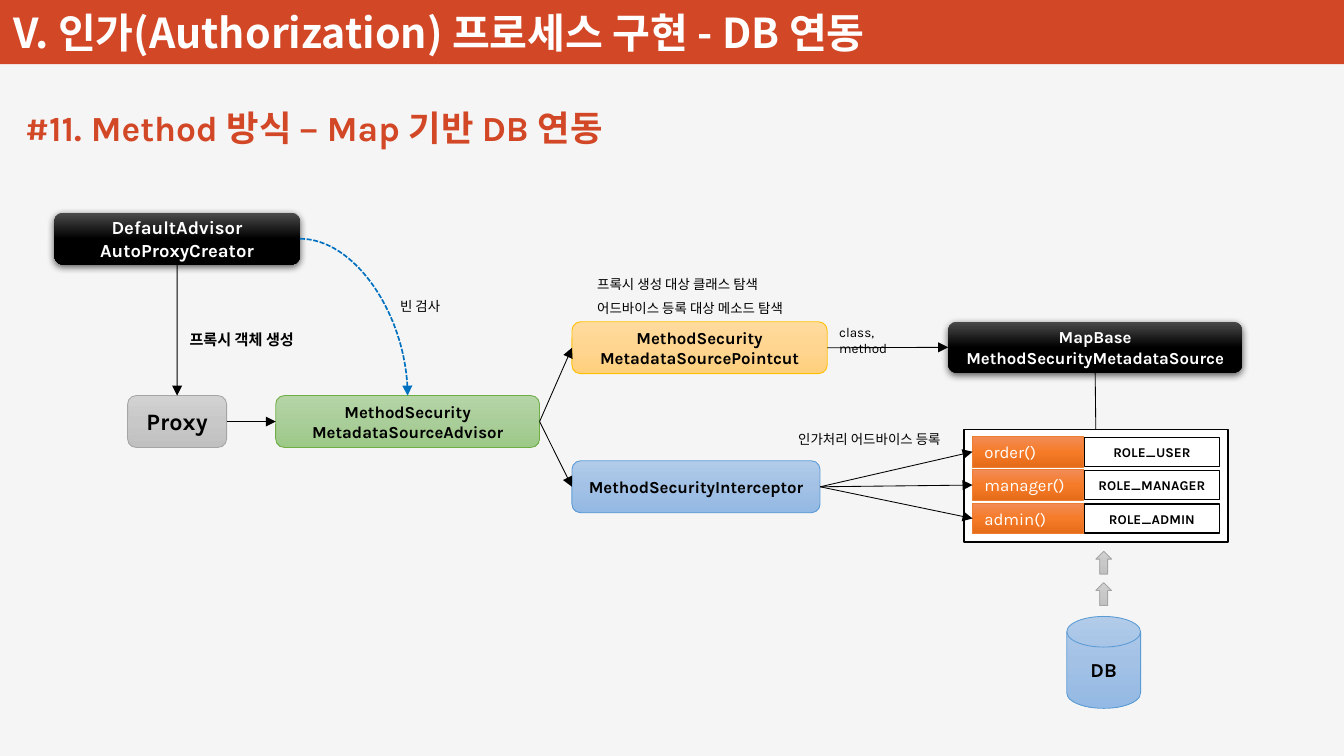
from copy import deepcopy
from dataclasses import dataclass

from lxml import etree
from pptx import Presentation
from pptx.dml.color import RGBColor
from pptx.enum.dml import MSO_LINE
from pptx.enum.shapes import MSO_CONNECTOR, MSO_SHAPE
from pptx.enum.text import MSO_ANCHOR, PP_ALIGN
from pptx.oxml.ns import qn
from pptx.util import Cm, Pt

RECT, ROUND = MSO_SHAPE.RECTANGLE, MSO_SHAPE.ROUNDED_RECTANGLE
DISK, UP_ARROW = MSO_SHAPE.FLOWCHART_MAGNETIC_DISK, MSO_SHAPE.UP_ARROW
STRAIGHT, CURVE = MSO_CONNECTOR.STRAIGHT, MSO_CONNECTOR.CURVE
LEFT, CENTER = PP_ALIGN.LEFT, PP_ALIGN.CENTER
TOP, MIDDLE, BOTTOM = MSO_ANCHOR.TOP, MSO_ANCHOR.MIDDLE, MSO_ANCHOR.BOTTOM
SIDE_TOP, SIDE_LEFT, SIDE_BOTTOM, SIDE_RIGHT = range(4)


@dataclass(frozen=True)
class Theme:
    latin: str = "Karla"
    korean: str = "Noto Sans CJK KR"
    page: str = "F5F5F5"
    accent: str = "D24726"
    white: str = "FFFFFF"
    black: str = "000000"
    scan: str = "0070C0"
    heading: float = 24.5
    subtitle: float = 21
    proxy: float = 14
    database: float = 11.8
    creator: float = 11
    body: float = 10
    note: float = 9
    small: float = 8


THEME = Theme()

# Gradient from top to bottom, then outline
SKINS = {
    "black": (("4B4B4B", "000000", "000000"), None),
    "gray": (("D2D2D2", "C8C8C8", "C0C0C0"), "A5A5A5"),
    "green": (("B5D5A7", "AACE9A", "9CC987"), "70AD47"),
    "yellow": (("FFDB9E", "FFD590", "FFD07C"), "FFC000"),
    "blue": (("B1CBE9", "A3C1E5", "93B9E4"), "5B9BD5"),
    "orange": (("F18C57", "F67B28", "E56C19"), "ED7D31"),
}

HEADING = "V. 인가(Authorization) 프로세스 구현 - DB 연동"
SUBTITLE = "#11. Method 방식 – Map 기반 DB 연동"

# name: (lines, skin, type size, (left, top, width, height) in cm)
COMPONENTS = {
    "creator": (["DefaultAdvisor", "AutoProxyCreator"], "black", THEME.creator,
                (1.14, 4.47, 5.16, 1.09)),
    "proxy": (["Proxy"], "gray", THEME.proxy, (2.68, 8.31, 2.08, 1.09)),
    "advisor": (["MethodSecurity", "MetadataSourceAdvisor"], "green", THEME.body,
                (5.79, 8.31, 5.54, 1.09)),
    "pointcut": (["MethodSecurity", "MetadataSourcePointcut"], "yellow", THEME.body,
                 (12.01, 6.76, 5.36, 1.09)),
    "interceptor": (["MethodSecurityInterceptor"], "blue", THEME.body,
                    (12.01, 9.68, 5.21, 1.09)),
    "source": (["MapBase", "MethodSecurityMetadataSource"], "black", THEME.body,
               (19.91, 6.76, 6.17, 1.07)),
}
ROLES = [("order()", "ROLE_USER"), ("manager()", "ROLE_MANAGER"), ("admin()", "ROLE_ADMIN")]

MAP_BOX = (20.24, 9.02, 5.54, 2.36)
ROW_TOP, ROW_STEP = 9.17, 0.7
DB_BOX = (22.4, 12.95, 1.55, 1.93)
ARROW_TOPS = (11.58, 12.24)

# (lines, place in cm, font, type size, bold, line spacing)
NOTES = [
    (["프록시 객체 생성"], (3.73, 6.81, 3.1, 0.64), THEME.korean, THEME.note, True, 1),
    (["프록시 생성 대상 클래스 탐색", "어드바이스 등록 대상 메소드 탐색"],
     (12.29, 5.51, 4.83, 1.27), THEME.korean, THEME.small, False, 1.5),
    (["인가처리 어드바이스 등록"], (16.51, 8.76, 3.96, 0.76), THEME.korean, THEME.small,
     False, 1.5),
    (["class, method"], (17.37, 6.68, 2.24, 0.61), THEME.latin, THEME.small, False, 1),
    (["빈 검사"], (8.15, 5.97, 1.47, 0.76), THEME.korean, THEME.small, False, 1.5),
]

# (from, side, to, side, arrowhead)
LINKS = [
    ("source", SIDE_BOTTOM, "map", SIDE_TOP, False),
    ("proxy", SIDE_RIGHT, "advisor", SIDE_LEFT, True),
    ("creator", SIDE_BOTTOM, "proxy", SIDE_TOP, True),
    ("pointcut", SIDE_RIGHT, "source", SIDE_LEFT, True),
    ("advisor", SIDE_RIGHT, "pointcut", SIDE_LEFT, True),
    ("advisor", SIDE_RIGHT, "interceptor", SIDE_LEFT, True),
] + [("interceptor", SIDE_RIGHT, method, SIDE_LEFT, True) for method, _ in ROLES]


def cm(place):
    return [Cm(length) for length in place]


def rgb(color):
    return RGBColor.from_string(color)


def write(shape, lines, size, color, font=THEME.latin, bold=True, align=CENTER,
          anchor=MIDDLE, spacing=1):
    frame = shape.text_frame
    frame.word_wrap = True
    frame.vertical_anchor = anchor
    frame.text = "\n".join(lines)
    for paragraph in frame.paragraphs:
        paragraph.alignment, paragraph.line_spacing = align, spacing
        style = paragraph.font
        style.name, style.size, style.bold = font, Pt(size), bold
        style.color.rgb = rgb(color)
        latin = paragraph._p.find(".//" + qn("a:latin"))
        latin.addnext(latin.makeelement(qn("a:ea"), typeface=THEME.korean))


def add_flat(slide, place, fill, outline=None, weight=0.5, kind=RECT):
    shape = slide.shapes.add_shape(kind, *cm(place))
    shape.shadow.inherit = False
    shape.fill.solid()
    shape.fill.fore_color.rgb = rgb(fill)
    if outline:
        shape.line.color.rgb = rgb(outline)
        shape.line.width = Pt(weight)
    else:
        shape.line.fill.background()
    return shape


def add_skinned(slide, place, skin, kind=ROUND):
    """Add a shape with the three-stop vertical gradient of a skin."""
    colors, outline = SKINS[skin]
    shape = add_flat(slide, place, colors[0], outline, kind=kind)
    shape.fill.gradient()
    shape.fill.gradient_angle = 270
    stops = shape._element.spPr.find(".//" + qn("a:gsLst"))
    stops.append(deepcopy(stops[0]))
    for stop, color, position in zip(shape.fill.gradient_stops, colors, (0, 0.5, 1)):
        stop.color.rgb = rgb(color)
        stop.position = position
    return shape


def cast_shadow(shape):
    effects = shape._element.spPr.find(qn("a:effectLst"))
    shadow = etree.SubElement(effects, qn("a:outerShdw"), blurRad=str(Pt(4.5)),
                              dist=str(Pt(1.5)), dir="5400000", rotWithShape="0")
    color = etree.SubElement(shadow, qn("a:srgbClr"), val=THEME.black)
    etree.SubElement(color, qn("a:alpha"), val="63000")


def add_link(slide, kind, ends, color, weight, arrow):
    link = slide.shapes.add_connector(kind, *ends)
    link.line.color.rgb = rgb(color)
    link.line.width = Pt(weight)
    if arrow:
        etree.SubElement(link.line._get_or_add_ln(), qn("a:tailEnd"), type="triangle")
    etree.SubElement(link._element.spPr, qn("a:effectLst"))
    return link


def build():
    deck = Presentation()
    deck.slide_width, deck.slide_height = Cm(28.22), Cm(15.88)
    slide = deck.slides.add_slide(deck.slide_layouts[6])
    slide.background.fill.solid()
    slide.background.fill.fore_color.rgb = rgb(THEME.page)

    add_flat(slide, (0, 0, 28.22, 1.35), THEME.accent)
    heading = slide.shapes.add_textbox(*cm((0.03, -0.25, 20.32, 1.55)))
    heading.text_frame.margin_top = heading.text_frame.margin_bottom = Cm(0.1)
    write(heading, [HEADING], THEME.heading, THEME.white, THEME.korean, align=LEFT,
          anchor=BOTTOM)
    subtitle = slide.shapes.add_textbox(*cm((0.28, 2.11, 14.15, 1.14)))
    write(subtitle, [SUBTITLE], THEME.subtitle, THEME.accent, align=LEFT, anchor=TOP)

    parts = {"map": add_flat(slide, MAP_BOX, THEME.white, THEME.black, 1)}
    for name, (lines, skin, size, place) in COMPONENTS.items():
        parts[name] = add_skinned(slide, place, skin)
        write(parts[name], lines, size, THEME.white if skin == "black" else THEME.black)
        if skin == "black":
            cast_shadow(parts[name])

    for row, (method, role) in enumerate(ROLES):
        top = ROW_TOP + row * ROW_STEP
        parts[method] = add_skinned(slide, (20.42, top, 2.34, 0.64), "orange", RECT)
        write(parts[method], [method], THEME.body, THEME.white, bold=False, align=LEFT)
        role_box = add_flat(slide, (22.78, top + 0.02, 2.82, 0.61), THEME.white,
                            THEME.black, 0.75)
        write(role_box, [role], THEME.small, THEME.black)

    write(add_skinned(slide, DB_BOX, "blue", DISK), ["DB"], THEME.database, THEME.black)
    for top in ARROW_TOPS:
        add_skinned(slide, (23.01, top, 0.33, 0.48), "gray", UP_ARROW)

    for start, start_side, end, end_side, arrow in LINKS:
        link = add_link(slide, STRAIGHT, (0, 0, 0, 0), THEME.black, 0.5, arrow)
        link.begin_connect(parts[start], start_side)
        link.end_connect(parts[end], end_side)

    creator, advisor = parts["creator"], parts["advisor"]
    ends = (creator.left + creator.width, creator.top + creator.height // 2,
            advisor.left + advisor.width // 2, advisor.top)
    scan = add_link(slide, CURVE, ends, THEME.scan, 1, True)
    scan.line.dash_style = MSO_LINE.SQUARE_DOT
    scan._element.spPr.find(qn("a:prstGeom")).set("prst", "curvedConnector2")

    for lines, place, font, size, bold, spacing in NOTES:
        note = slide.shapes.add_textbox(*cm(place))
        write(note, lines, size, THEME.black, font, bold, LEFT, TOP, spacing)

    deck.save("out.pptx")


if __name__ == "__main__":
    build()
